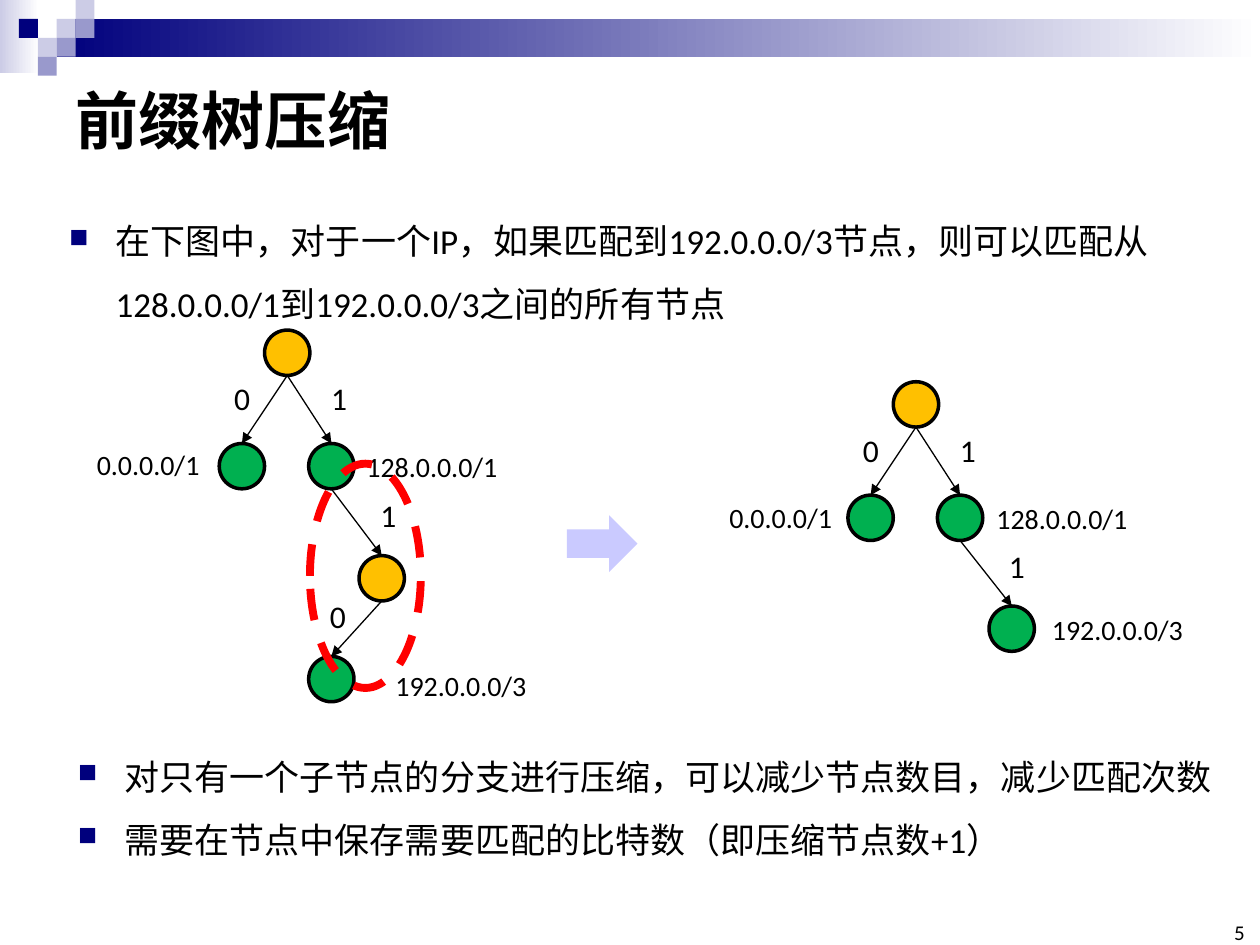
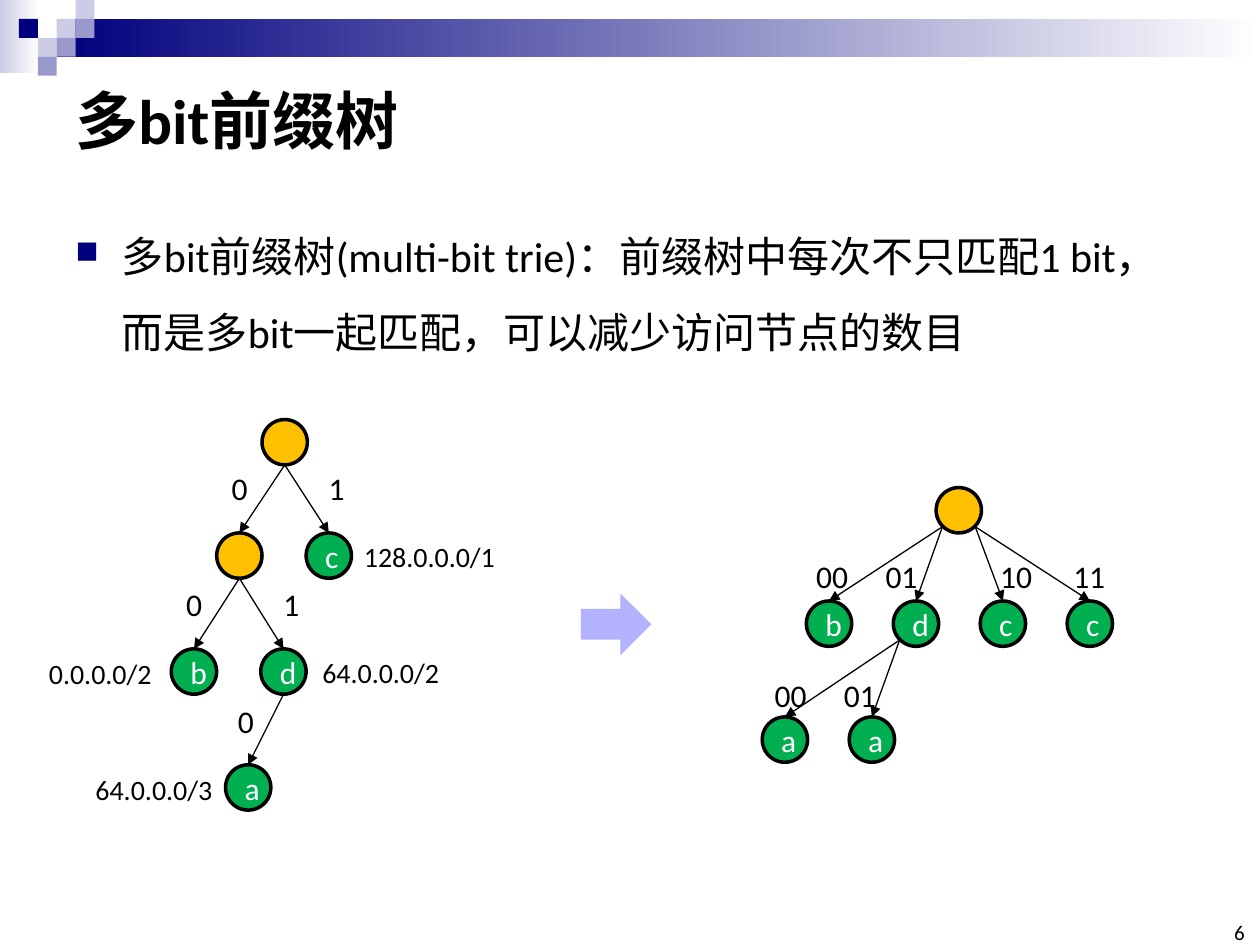
from pptx import Presentation
from pptx.dml.color import RGBColor
from pptx.enum.dml import MSO_LINE
from pptx.enum.shapes import MSO_CONNECTOR, MSO_SHAPE as SHAPE
from pptx.enum.text import MSO_ANCHOR as ANCHOR, MSO_AUTO_SIZE, PP_ALIGN as ALIGN
from pptx.oxml.ns import qn
from pptx.util import Inches, Pt
from lxml.etree import SubElement

FONT = "Calibri"
BLACK, WHITE, RED = "000000", "FFFFFF", "FF0000"
NAVY, MID, PALE = "00007D", "9999CC", "CCCCE6"
AMBER, GREEN = "FFC000", "00B050"
CELL = 0.15
NODE = 0.36
BOTTOM, BOTTOM_LEFT, BOTTOM_RIGHT = (0.18, 0.36), (0.05, 0.31), (0.31, 0.31)


def rgb(value):
    """Turn a hex string into a colour."""
    return RGBColor.from_string(value)


class TrieDeck:
    """Hold the deck style and the slide being drawn."""

    def __init__(self):
        """Open an empty deck of 10 by 7.5 inches."""
        self.deck = Presentation()
        self.deck.slide_width, self.deck.slide_height = Inches(10), Inches(7.5)
        self.slide = None

    def new_slide(self, title, number):
        """Start a slide with its header band, title and page number."""
        self.slide = self.deck.slides.add_slide(self.deck.slide_layouts[6])
        self.fade(0, 0, 0.31, 0.58, PALE)
        self.fade(3 * CELL, CELL, 9.55, 2 * CELL, NAVY)
        squares = {PALE: [(3, 1), (4, 0), (2, 2)], NAVY: [(1, 1)],
                   MID: [(4, 1), (3, 2), (2, 3)]}
        for colour, places in squares.items():
            for column, row in places:
                self.shape(SHAPE.RECTANGLE, column * CELL, row * CELL, CELL, CELL, colour)
        self.text(0.5, 0.5, 9, 0.89, [title], 36, bold=True, anchor=ANCHOR.MIDDLE)
        self.text(9.65, 7.33, 0.23, 0.17, [number], 12, align=ALIGN.RIGHT,
                  anchor=ANCHOR.BOTTOM, inset=False)

    def shape(self, kind, x, y, width, height, fill=None, line=None, weight=2):
        """Draw a flat preset shape."""
        shape = self.slide.shapes.add_shape(
            kind, Inches(x), Inches(y), Inches(width), Inches(height))
        shape.shadow.inherit = False
        if fill:
            shape.fill.solid()
            shape.fill.fore_color.rgb = rgb(fill)
        else:
            shape.fill.background()
        if line:
            shape.line.color.rgb = rgb(line)
            shape.line.width = Pt(weight)
        else:
            shape.line.fill.background()
        return shape

    def fade(self, x, y, width, height, colour):
        """Draw a bar that fades to white on the right."""
        fill = self.shape(SHAPE.RECTANGLE, x, y, width, height).fill
        fill.gradient()
        fill.gradient_angle = 0
        for stop, shade, position in zip(fill.gradient_stops, (colour, WHITE), (0, 1)):
            stop.color.rgb = rgb(shade)
            stop.position = position

    def style(self, paragraph, size, colour=BLACK, bold=False):
        """Set the font of a paragraph."""
        font = paragraph.font
        font.name, font.size, font.bold = FONT, Pt(size), bold
        font.color.rgb = rgb(colour)

    def text(self, x, y, width, height, lines, size, bold=False, align=ALIGN.LEFT,
             anchor=ANCHOR.TOP, inset=True, wrap=True, bullet=False):
        """Write one paragraph per line in a text box."""
        frame = self.slide.shapes.add_textbox(
            Inches(x), Inches(y), Inches(width), Inches(height)).text_frame
        frame.word_wrap, frame.vertical_anchor = wrap, anchor
        if not wrap:
            frame.auto_size = MSO_AUTO_SIZE.SHAPE_TO_FIT_TEXT
        if not inset:
            frame.margin_left = frame.margin_right = 0
            frame.margin_top = frame.margin_bottom = 0
        frame.text = "\n".join(lines)
        for paragraph in frame.paragraphs:
            paragraph.alignment = align
            if bullet:
                self.bullet(paragraph)
            self.style(paragraph, size, bold=bold)

    def bullet(self, paragraph):
        """Give a paragraph a navy square and a hanging indent."""
        paragraph.line_spacing = 1.5
        properties = paragraph._p.get_or_add_pPr()
        properties.set("marL", str(Inches(0.37)))
        properties.set("indent", str(-Inches(0.37)))
        SubElement(SubElement(properties, qn("a:buClr")), qn("a:srgbClr"), val=NAVY)
        SubElement(properties, qn("a:buSzPct"), val="75000")
        SubElement(properties, qn("a:buChar"), char="■")

    def points(self, x, y, width, height, lines, size):
        """Write bulleted lines."""
        self.text(x, y, width, height, lines, size, bullet=True)

    def prefix(self, x, y, address):
        """Write an address prefix beside a node."""
        self.text(x, y, 0.04 + 0.11 * len(address), 0.37, [address], 16, wrap=False)

    def bits(self, x, y, value):
        """Write the bits of a branch."""
        self.text(x, y, 0.2 + 0.13 * len(value), 0.4, [value], 18, wrap=False)

    def node(self, x, y, fill=GREEN, letter=""):
        """Draw a trie node and return its place."""
        circle = self.shape(SHAPE.OVAL, x, y, NODE, NODE, fill, BLACK)
        if letter:
            paragraph = circle.text_frame.paragraphs[0]
            paragraph.text, paragraph.alignment = letter, ALIGN.CENTER
            self.style(paragraph, 18, WHITE)
        return x, y

    def edge(self, parent, child, site=BOTTOM):
        """Draw an arrow from a site of the parent to the top of the child."""
        arrow = self.slide.shapes.add_connector(
            MSO_CONNECTOR.STRAIGHT,
            Inches(parent[0] + site[0]), Inches(parent[1] + site[1]),
            Inches(child[0] + NODE / 2), Inches(child[1]))
        arrow.line.color.rgb = rgb(BLACK)
        arrow.line.width = Pt(0.75)
        SubElement(arrow.line._get_or_add_ln(), qn("a:tailEnd"), type="triangle")
        SubElement(arrow._element.spPr, qn("a:effectLst"))

    def branch(self, parent, x, y, value, bits_x, bits_y, fill=GREEN, letter="",
               site=BOTTOM):
        """Add a child node with its arrow and bits, and return its place."""
        child = self.node(x, y, fill, letter)
        self.edge(parent, child, site)
        self.bits(bits_x, bits_y, value)
        return child

    def fork(self, parent, drop=0.9, left=(GREEN, ""), right=(GREEN, "")):
        """Add the 0 and 1 children of a node and return their places."""
        x, y = parent
        bits_y = y + drop - 0.56
        return (self.branch(parent, x - 0.36, y + drop, "0", x - 0.34, bits_y, *left),
                self.branch(parent, x + 0.35, y + drop, "1", x + 0.43, bits_y, *right))


trie = TrieDeck()

trie.new_slide("前缀树压缩", "5")
trie.points(0.45, 1.53, 9, 1.09, [
    "在下图中，对于一个IP，如果匹配到192.0.0.0/3节点，"
    "则可以匹配从128.0.0.0/1到192.0.0.0/3之间的所有节点"], 20)

zero, one = trie.fork(trie.node(2.1, 2.62, AMBER))
single = trie.branch(one, 2.85, 4.41, "1", 2.92, 3.89, AMBER)
trie.branch(single, 2.45, 5.21, "0", 2.52, 4.69)
trie.prefix(2.81, 3.52, "128.0.0.0/1")
trie.prefix(0.67, 3.5, "0.0.0.0/1")
trie.prefix(3.04, 5.26, "192.0.0.0/3")
removed = trie.shape(SHAPE.OVAL, 2.46, 3.68, 0.88, 1.78, line=RED, weight=4.5)
removed.line.dash_style = MSO_LINE.DASH

trie.shape(SHAPE.RIGHT_ARROW, 4.5, 4.09, 0.56, 0.45, "CACAFF")

zero, one = trie.fork(trie.node(7.09, 3.03, AMBER))
trie.branch(one, 7.85, 4.81, "1", 7.91, 4.29)
trie.prefix(7.81, 3.93, "128.0.0.0/1")
trie.prefix(5.69, 3.92, "0.0.0.0/1")
trie.prefix(8.25, 4.81, "192.0.0.0/3")

trie.points(0.52, 5.78, 9.21, 1.09, [
    "对只有一个子节点的分支进行压缩，可以减少节点数目，减少匹配次数",
    "需要在节点中保存需要匹配的比特数（即压缩节点数+1）"], 20)

trie.new_slide("多bit前缀树", "6")
trie.points(0.5, 1.58, 9, 1.38, [
    "多bit前缀树(multi-bit trie)：前缀树中每次不只匹配1 bit，"
    "而是多bit一起匹配，可以减少访问节点的数目"], 24)

zero, one = trie.fork(trie.node(2.08, 3.33, AMBER), left=(AMBER, ""), right=(GREEN, "c"))
node_b, node_d = trie.fork(zero, 0.92, (GREEN, "b"), (GREEN, "d"))
trie.branch(node_d, 1.79, 6.07, "0", 1.79, 5.52, letter="a")
trie.prefix(2.79, 4.23, "128.0.0.0/1")
trie.prefix(2.46, 5.15, "64.0.0.0/2")
trie.prefix(0.29, 5.16, "0.0.0.0/2")
trie.prefix(0.66, 6.08, "64.0.0.0/3")

root = trie.node(7.43, 3.87, AMBER)
fan = [("00", "b", 6.38, BOTTOM_LEFT), ("01", "d", 6.93, BOTTOM_LEFT),
       ("10", "c", 7.84, BOTTOM_RIGHT), ("11", "c", 8.42, BOTTOM_RIGHT)]
children = [trie.branch(root, 6.4 + 0.69 * i, 4.77, value, bits_x, 4.37,
                        letter=letter, site=site)
            for i, (value, letter, bits_x, site) in enumerate(fan)]
for i, value in enumerate(("00", "01")):
    trie.branch(children[1], 6.05 + 0.69 * i, 5.69, value, 6.05 + 0.55 * i, 5.32,
                letter="a", site=BOTTOM_LEFT)

trie.shape(SHAPE.RIGHT_ARROW, 4.61, 4.71, 0.56, 0.49, "B2B2FF")

trie.deck.save("out.pptx")
